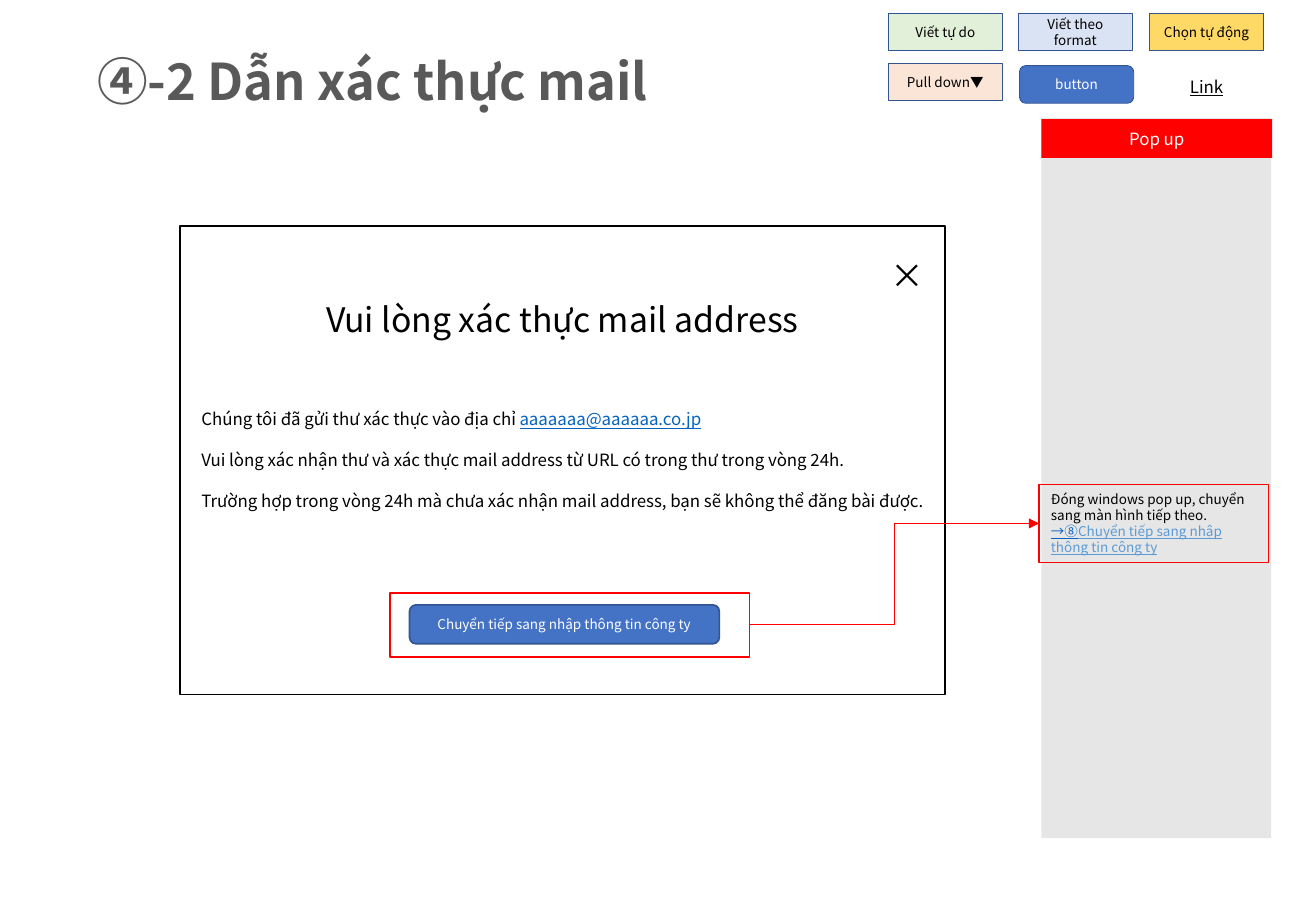
from dataclasses import dataclass
from typing import NamedTuple

from lxml import etree
from pptx import Presentation
from pptx.dml.color import RGBColor
from pptx.enum.shapes import MSO_CONNECTOR, MSO_SHAPE
from pptx.enum.text import MSO_ANCHOR, PP_ALIGN
from pptx.oxml.ns import qn
from pptx.shapes.autoshape import Shape
from pptx.util import Pt

PX = 9144
FONT = "Noto Sans CJK JP"
RECT = MSO_SHAPE.RECTANGLE
ROUND = MSO_SHAPE.ROUNDED_RECTANGLE
ELBOW = MSO_CONNECTOR.ELBOW
LEFT, CENTER = PP_ALIGN.LEFT, PP_ALIGN.CENTER
TOP, MIDDLE = MSO_ANCHOR.TOP, MSO_ANCHOR.MIDDLE
LEFT_SITE, RIGHT_SITE = 1, 3

BLACK = RGBColor(0x00, 0x00, 0x00)
WHITE = RGBColor(0xFF, 0xFF, 0xFF)
RED = RGBColor(0xFF, 0x00, 0x00)
GRAY = RGBColor(0x59, 0x59, 0x59)
SILVER = RGBColor(0xE7, 0xE6, 0xE6)
BLUE = RGBColor(0x44, 0x72, 0xC4)
NAVY = RGBColor(0x32, 0x54, 0x91)
LINK = RGBColor(0x05, 0x63, 0xC1)
SKY = RGBColor(0x5B, 0x9B, 0xD5)
GREEN = RGBColor(0xE2, 0xF0, 0xD9)
PEACH = RGBColor(0xFB, 0xE5, 0xD6)
PALE = RGBColor(0xDA, 0xE3, 0xF3)
GOLD = RGBColor(0xFF, 0xD9, 0x66)


class Area(NamedTuple):
    x: int
    y: int
    w: int
    h: int


class Span(NamedTuple):
    text: str
    color: RGBColor = BLACK
    under: bool = False


@dataclass(frozen=True)
class Key:
    text: str
    x: int
    y: int
    fill: RGBColor
    color: RGBColor = BLACK
    kind: MSO_SHAPE = RECT


KEYS = [
    Key("Viết tự do", 731, 11, GREEN),
    Key("Viết theo format", 838, 11, PALE),
    Key("Chọn tự động", 946, 11, GOLD),
    Key("Pull down▼", 731, 52, PEACH),
    Key("button", 839, 54, BLUE, WHITE, ROUND),
]
NEXT = "Chuyển tiếp sang nhập thông tin công ty"
NOTE = [
    [Span("Đóng windows pop up, chuyển sang màn hình tiếp theo.")],
    [Span("→⑧", LINK, True), Span(NEXT, SKY, True)],
]
BODY = [
    [
        Span("Chúng tôi đã gửi thư xác thực vào địa chỉ "),
        Span("aaaaaaa@aaaaaa.co.jp", LINK, True),
    ],
    [Span("Vui lòng xác nhận thư và xác thực mail address từ URL có trong thư trong vòng 24h.")],
    [Span("Trường hợp trong vòng 24h mà chưa xác nhận mail address, bạn sẽ không thể đăng bài được.")],
]

deck = Presentation()
deck.slide_width, deck.slide_height = 1083 * PX, 750 * PX
slide = deck.slides.add_slide(deck.slide_layouts[6])


def scale(area: Area) -> list[int]:
    return [side * PX for side in area]


def panel(
    area: Area,
    fill: RGBColor | None = None,
    line: RGBColor | None = None,
    width: float = 1,
    kind: MSO_SHAPE = RECT,
) -> Shape:
    shape = slide.shapes.add_shape(kind, *scale(area))
    shape.shadow.inherit = False
    if fill is None:
        shape.fill.background()
    else:
        shape.fill.solid()
        shape.fill.fore_color.rgb = fill
    if line is None:
        shape.line.fill.background()
    else:
        shape.line.color.rgb = line
        shape.line.width = Pt(width)
    return shape


def write(
    shape: Shape,
    lines: list[list[Span]],
    size: int = 8,
    bold: bool = False,
    align: PP_ALIGN = CENTER,
    anchor: MSO_ANCHOR = MIDDLE,
    gap: int = 0,
) -> None:
    frame = shape.text_frame
    frame.word_wrap = True
    frame.vertical_anchor = anchor
    for index, spans in enumerate(lines):
        para = frame.add_paragraph() if index else frame.paragraphs[0]
        para.alignment = align
        if index and gap:
            para.space_before = Pt(gap)
        for span in spans:
            run = para.add_run()
            run.text = span.text
            font = run.font
            font.size, font.bold, font.name = Pt(size), bold, FONT
            font.underline = span.under
            font.color.rgb = span.color
            latin = run._r.get_or_add_rPr().find(qn("a:latin"))
            east = etree.Element(qn("a:ea"), typeface=FONT)
            latin.addnext(east)


def label(area: Area, lines: list[list[Span]], **style) -> None:
    write(slide.shapes.add_textbox(*scale(area)), lines, **style)


def arrow(start: Shape, end: Shape, color: RGBColor, width: float) -> None:
    link = slide.shapes.add_connector(ELBOW, 0, 0, 0, 0)
    link.begin_connect(start, RIGHT_SITE)
    link.end_connect(end, LEFT_SITE)
    link.line.color.rgb = color
    link.line.width = Pt(width)
    stroke = link.line._get_or_add_ln()
    etree.SubElement(stroke, qn("a:tailEnd"), type="triangle")
    etree.SubElement(link._element.spPr, qn("a:effectLst"))


def main() -> None:
    label(Area(70, 36, 939, 61), [[Span("④-2 Dẫn xác thực mail", GRAY)]],
          size=30, bold=True, align=LEFT, anchor=TOP)

    panel(Area(857, 97, 189, 593), SILVER)
    note = panel(Area(855, 399, 189, 64), line=RED, width=0.75)
    write(note, NOTE, align=LEFT, anchor=TOP)

    panel(Area(148, 186, 630, 386), line=BLACK)
    button = panel(Area(337, 498, 255, 32), BLUE, NAVY, kind=ROUND)
    write(button, [[Span(NEXT, WHITE)]])
    label(Area(148, 241, 630, 44), [[Span("Vui lòng xác thực mail address")]],
          size=20, anchor=TOP)
    label(Area(715, 205, 63, 44), [[Span("×")]], size=20, anchor=TOP)
    label(Area(156, 288, 614, 181), BODY, size=10, align=LEFT, gap=12)

    focus = panel(Area(321, 488, 296, 53), line=RED)
    arrow(focus, note, RED, 0.5)

    head = panel(Area(857, 98, 190, 32), RED)
    write(head, [[Span("Pop up", WHITE)]], size=10)

    for key in KEYS:
        shape = panel(Area(key.x, key.y, 94, 31), key.fill, NAVY, 0.5, key.kind)
        write(shape, [[Span(key.text, key.color)]])
    label(Area(946, 58, 94, 27), [[Span("Link", under=True)]], size=10, anchor=TOP)

    deck.save("out.pptx")


if __name__ == "__main__":
    main()
